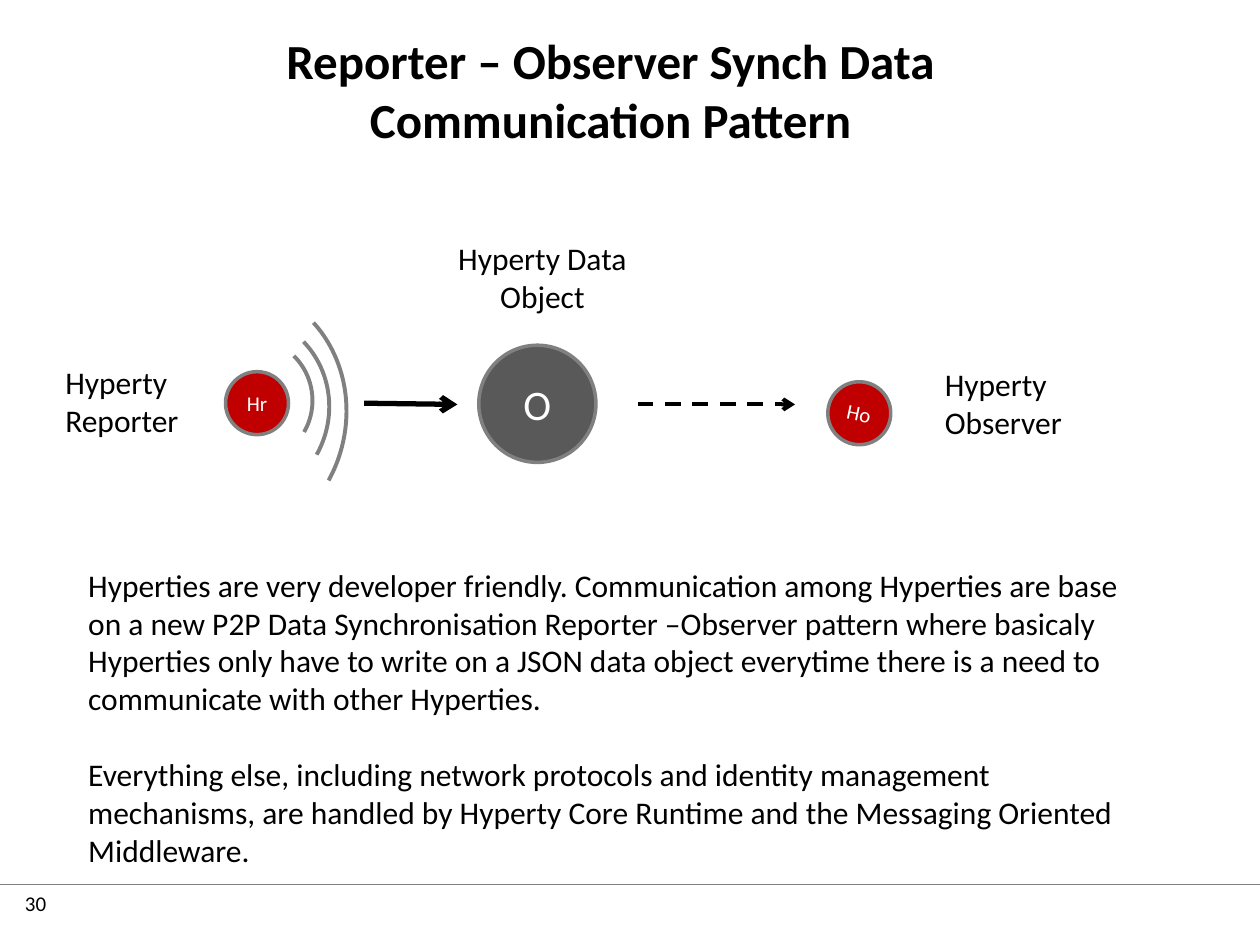
"""Build the Reporter – Observer communication pattern slide."""
from pptx import Presentation
from pptx.dml.color import RGBColor as Rgb
from pptx.enum.dml import MSO_LINE as Dash
from pptx.enum.shapes import MSO_CONNECTOR as Conn, MSO_SHAPE as Kind
from pptx.enum.text import MSO_ANCHOR as Anchor, MSO_AUTO_SIZE as Auto, PP_ALIGN as Align
from pptx.oxml.ns import qn
from pptx.util import Inches, Pt
from lxml.etree import SubElement as Sub

HUES = {"ink": "000000", "white": "FFFFFF", "red": "C00000", "dark": "595959", "gray": "808080"}


def hue(name):
    return Rgb.from_string(HUES[name])


def place(*box):
    return [Inches(n) for n in box]


def assign(item, vals):
    for key, val in vals.items():
        setattr(item, key, val)


class Deck:
    def __init__(self, wide, high):
        self.prs = Presentation()
        assign(self.prs, {"slide_width": Inches(wide), "slide_height": Inches(high)})
        self.page = self.prs.slides.add_slide(self.prs.slide_layouts[1])
        self.home = self.page.shapes
        self.face = "Calibri"

    def prose(self, shape, paras, size, tint="ink", bold=False, align=Align.LEFT, gap=0, **frame):
        body = shape.text_frame
        assign(body, {"word_wrap": True, "auto_size": Auto.NONE, "vertical_anchor": Anchor.TOP, **frame})
        for i, words in enumerate(paras):
            para = body.paragraphs[0] if i == 0 else body.add_paragraph()
            para.text = words
            assign(para, {"alignment": align, "space_before": Pt(gap if i else 0)})
            assign(para.font, {"name": self.face, "size": Pt(size), "bold": bold})
            para.font.color.rgb = hue(tint)
        return body

    def fill(self, slot, box, paras, size, **look):
        assign(slot, dict(zip(("left", "top", "width", "height"), place(*box))))
        for para in slot.text_frame.paragraphs:
            self.plain(para)
        for para in self.prose(slot, paras, size, **look).paragraphs[1:]:
            self.plain(para)

    def plain(self, para):
        props = para._p.get_or_add_pPr()
        props.set("marL", "0")
        props.set("indent", "0")
        mark = props.makeelement(qn("a:buNone"))
        props.insert_element_before(mark, "a:tabLst", "a:defRPr", "a:extLst")

    def label(self, box, words, size=18, **look):
        self.prose(self.home.add_textbox(*place(*box)), [words], size, **look)

    def shape(self, kind, box, rot, width):
        form = self.home.add_shape(kind, *place(*box))
        form.shadow.inherit = False
        form.rotation = rot
        form.line.color.rgb = hue("gray")
        form.line.width = Pt(width)
        return form

    def disc(self, x, y, size, words, pt, tint="red", rot=0):
        form = self.shape(Kind.OVAL, (x, y, size, size), rot, 2)
        form.fill.solid()
        form.fill.fore_color.rgb = hue(tint)
        sides = ("margin_left", "margin_right", "margin_top", "margin_bottom")
        self.prose(form, [words], pt, "white", align=Align.CENTER, word_wrap=False,
                   vertical_anchor=Anchor.MIDDLE, **dict.fromkeys(sides, 0))

    def wave(self, *box):
        form = self.shape(Kind.ARC, box, 21.6, 2.25)
        form.fill.background()
        form.adjustments[0], form.adjustments[1] = 175.92, 4.96

    def rule(self, ends, width, tint="ink", dash=None, head=True):
        bar = self.home.add_connector(Conn.STRAIGHT, *place(*ends))
        bar.line.color.rgb = hue(tint)
        assign(bar.line, {"width": Pt(width), "dash_style": dash})
        props = bar._element.spPr
        if head:
            Sub(props.find(qn("a:ln")), qn("a:tailEnd"), type="arrow")
        Sub(props, qn("a:effectLst"))


def main():
    deck = Deck(10, 7.5)
    title, body = deck.page.placeholders
    deck.fill(title, (0.91, 0.19, 7.87, 0.52), ["Reporter – Observer Synch Data Communication Pattern"],
              28, bold=True, align=Align.CENTER)
    deck.fill(body, (0.6, 4.44, 8.64, 2.52), [
        "Hyperties are very developer friendly. Communication among Hyperties are base on a new P2P "
        "Data Synchronisation Reporter –Observer pattern where basicaly Hyperties only have to write "
        "on a JSON data object everytime there is a need to communicate with other Hyperties.",
        "Everything else, including network protocols and identity management mechanisms, are handled "
        "by Hyperty Core Runtime and the Messaging Oriented Middleware."], 18, gap=22)

    deck.label((0.1, 7.02, 0.8, 0.4), "30", 12)
    deck.rule((0, 7.02, 10, 7.02), 0.75, "gray", head=False)

    deck.disc(1.79, 2.95, 0.5, "Hr", 12)
    deck.label((0.42, 2.83, 1.19, 0.71), "Hyperty Reporter")
    deck.disc(3.8, 2.74, 0.93, "O", 24, "dark")
    deck.disc(6.57, 3.03, 0.5, "Ho", 12, rot=11.9)
    deck.label((7.4, 2.85, 1.19, 0.71), "Hyperty Observer")
    deck.rule((5.06, 3.21, 6.31, 3.21), 2.25, dash=Dash.DASH)

    deck.home = deck.page.shapes.add_group_shape().shapes
    deck.rule((2.89, 3.2, 3.63, 3.21), 3)
    deck.wave(1.48, 2.68, 1, 1)
    deck.wave(1.15, 2.49, 1.46, 1.51)
    deck.wave(0.74, 2.24, 2, 2.15)
    deck.home = deck.page.shapes

    deck.label((3.44, 1.85, 1.73, 0.71), "Hyperty Data Object", align=Align.CENTER)
    deck.prs.save("out.pptx")


if __name__ == "__main__":
    main()
